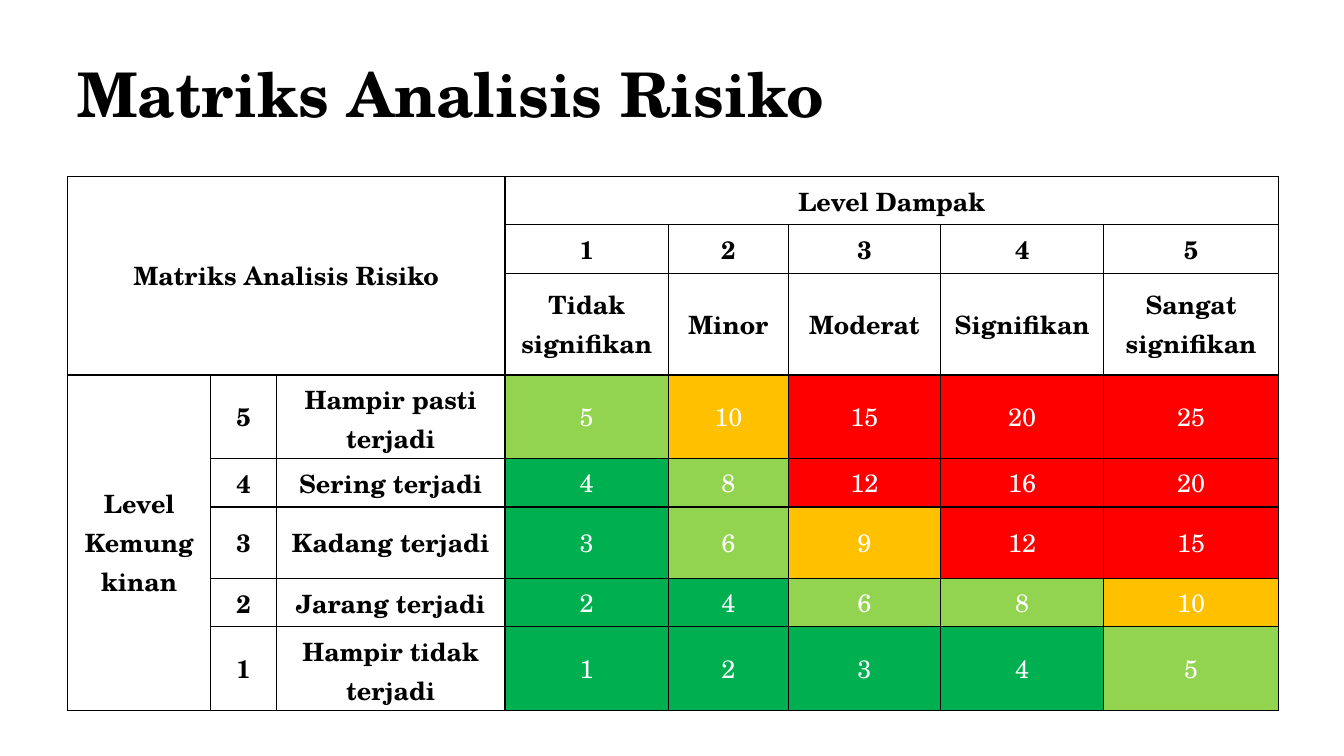
import pptx
import pptx.dml.color
import pptx.enum.text
import pptx.oxml
import pptx.oxml.ns
import pptx.util
from pptx.util import Inches

RGBColor = pptx.dml.color.RGBColor
BLACK = RGBColor(0x00, 0x00, 0x00)
WHITE = RGBColor(0xFF, 0xFF, 0xFF)
RED = RGBColor(0xFF, 0x00, 0x00)
AMBER = RGBColor(0xFF, 0xC0, 0x00)
LIGHT_GREEN = RGBColor(0x92, 0xD4, 0x50)
GREEN = RGBColor(0x00, 0xB0, 0x50)

FONT = "TeX Gyre Schola"
TITLE = "Matriks Analisis Risiko"
IMPACTS = ["Tidak signifikan", "Minor", "Moderat", "Signifikan", "Sangat signifikan"]
LIKELIHOODS = {
    5: "Hampir pasti terjadi",
    4: "Sering terjadi",
    3: "Kadang terjadi",
    2: "Jarang terjadi",
    1: "Hampir tidak terjadi",
}
COLUMN_WIDTHS = [1.42, 0.65, 2.27, 1.62, 1.19, 1.51, 1.62, 1.73]
ROW_HEIGHTS = [0.48, 0.48, 1.01, 0.83, 0.48, 0.71, 0.48, 0.83]
HEADER_ROWS = 3
HEADER_COLUMNS = 3

TITLE_FORMAT = {"name": FONT, "size": pptx.util.Pt(44), "bold": True}
HEADING_FORMAT = {"name": FONT, "size": pptx.util.Pt(18), "bold": True}
SCORE_FORMAT = {"name": FONT, "size": pptx.util.Pt(18), "bold": False}
CELL_FORMAT = {
    "vertical_anchor": pptx.enum.text.MSO_ANCHOR.MIDDLE,
    "margin_left": Inches(0.11),
    "margin_right": Inches(0.11),
    "margin_top": Inches(0.05),
    "margin_bottom": Inches(0.05),
}


def apply_format(target, values):
    for attribute, value in values.items():
        setattr(target, attribute, value)


def write_text(paragraph, text, font_format, color):
    run = paragraph.add_run()
    run.text = text
    apply_format(run.font, font_format)
    run.font.color.rgb = color


def add_title(slide):
    title = slide.shapes.add_textbox(Inches(0.67), Inches(0.3), Inches(12), Inches(1.25))
    frame = title.text_frame
    frame.word_wrap = True
    frame.vertical_anchor = pptx.enum.text.MSO_ANCHOR.MIDDLE
    write_text(frame.paragraphs[0], TITLE, TITLE_FORMAT, BLACK)


def add_borders(cell):
    properties = cell._tc.get_or_add_tcPr()
    for side in ("lnL", "lnR", "lnT", "lnB"):
        properties.append(pptx.oxml.parse_xml(
            f'<a:{side} {pptx.oxml.ns.nsdecls("a")} w="{pptx.util.Pt(1)}">'
            f'<a:solidFill><a:srgbClr val="{BLACK}"/></a:solidFill></a:{side}>'
        ))


def add_matrix(slide):
    """Add the bordered, unfilled grid and return its table."""
    matrix = slide.shapes.add_table(
        len(ROW_HEIGHTS), len(COLUMN_WIDTHS),
        Inches(0.67), Inches(1.75), Inches(12), Inches(5.29),
    ).table
    matrix.first_row = False
    matrix.horz_banding = False
    for column, width in zip(matrix.columns, COLUMN_WIDTHS):
        column.width = Inches(width)
    for row, height in zip(matrix.rows, ROW_HEIGHTS):
        row.height = Inches(height)
    for cell in matrix.iter_cells():
        apply_format(cell, CELL_FORMAT)
        add_borders(cell)
        cell.fill.background()
    return matrix


def write_cell(cell, text, font_format=HEADING_FORMAT, color=BLACK):
    paragraph = cell.text_frame.paragraphs[0]
    paragraph.alignment = pptx.enum.text.PP_ALIGN.CENTER
    write_text(paragraph, str(text), font_format, color)


def write_merged(matrix, first, last, text):
    corner = matrix.cell(*first)
    corner.merge(matrix.cell(*last))
    write_cell(corner, text)


def risk_color(score):
    if score >= 12:
        return RED
    if score >= 9:
        return AMBER
    return LIGHT_GREEN if score >= 5 else GREEN


def write_score(cell, score):
    cell.fill.solid()
    cell.fill.fore_color.rgb = risk_color(score)
    write_cell(cell, score, SCORE_FORMAT, WHITE)


def fill_matrix(matrix):
    last_row, last_column = len(ROW_HEIGHTS) - 1, len(COLUMN_WIDTHS) - 1
    write_merged(matrix, (0, 0), (HEADER_ROWS - 1, HEADER_COLUMNS - 1), TITLE)
    write_merged(matrix, (0, HEADER_COLUMNS), (0, last_column), "Level Dampak")
    write_merged(matrix, (HEADER_ROWS, 0), (last_row, 0), "Level Kemungkinan")
    for impact, label in enumerate(IMPACTS, start=1):
        column = HEADER_COLUMNS + impact - 1
        write_cell(matrix.cell(1, column), impact)
        write_cell(matrix.cell(2, column), label)
    for row, (likelihood, label) in enumerate(LIKELIHOODS.items(), start=HEADER_ROWS):
        write_cell(matrix.cell(row, 1), likelihood)
        write_cell(matrix.cell(row, 2), label)
        for impact in range(1, len(IMPACTS) + 1):
            write_score(matrix.cell(row, HEADER_COLUMNS + impact - 1), likelihood * impact)


def main():
    presentation = pptx.Presentation()
    presentation.slide_width = Inches(13.33)
    presentation.slide_height = Inches(7.5)
    slide = presentation.slides.add_slide(presentation.slide_layouts[6])
    add_title(slide)
    fill_matrix(add_matrix(slide))
    presentation.save("out.pptx")


if __name__ == "__main__":
    main()
